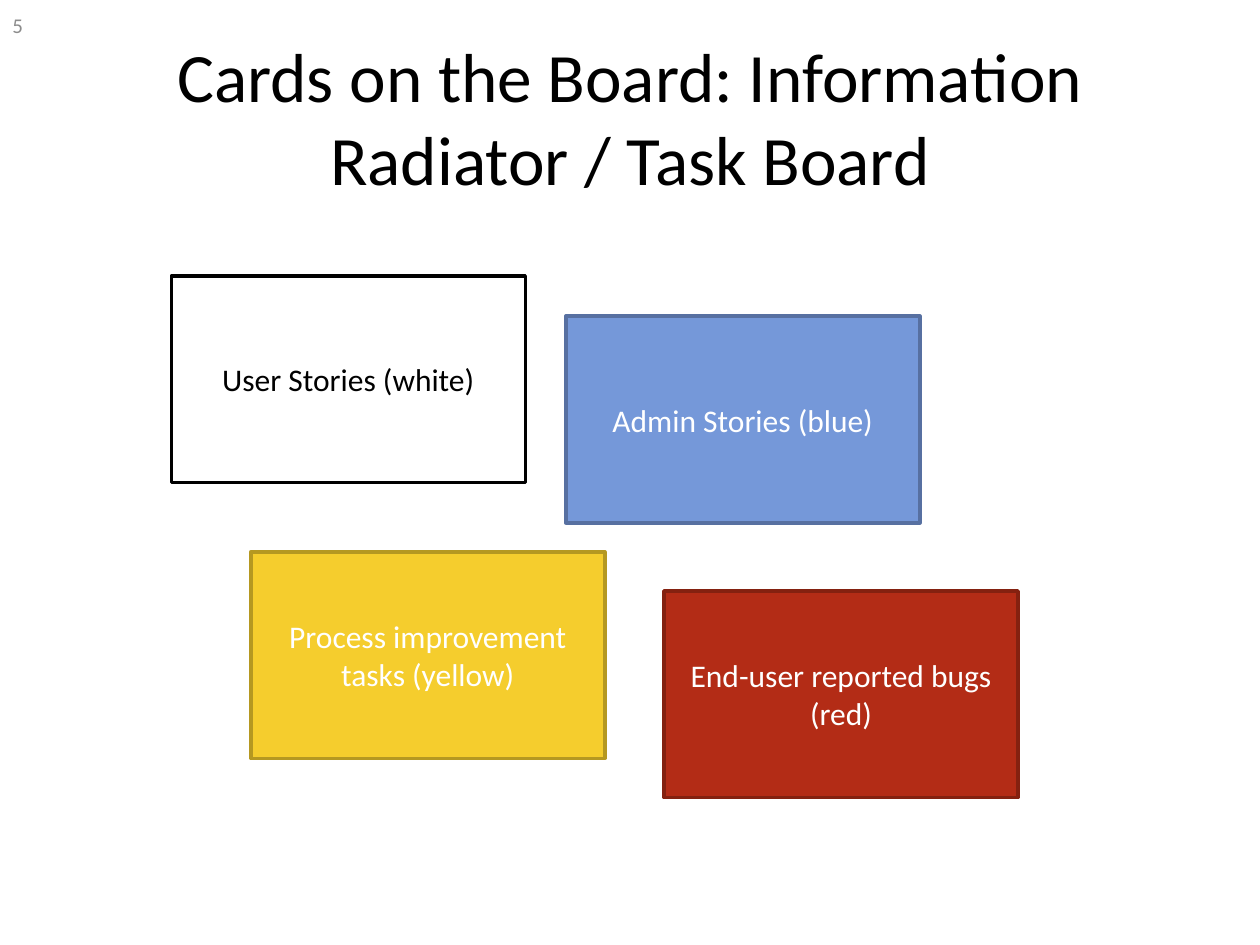
from dataclasses import dataclass

from pptx import Presentation
from pptx.dml.color import RGBColor
from pptx.enum.shapes import MSO_SHAPE
from pptx.enum.text import MSO_ANCHOR, PP_ALIGN
from pptx.util import Inches, Pt

FONT = "Calibri"
CARD_W, CARD_H = 2.81, 1.64
COLORS = {
    "black": "000000",
    "white": "FFFFFF",
    "gray": "8C8C8C",
    "blue": "7598D9",
    "blue_edge": "5770A1",
    "red": "B32C16",
    "red_edge": "842110",
    "yellow": "F5CD2D",
    "yellow_edge": "B59821",
}


@dataclass
class Card:
    text: str
    left: float
    top: float
    fill: str
    edge: str
    font_color: str = "white"


CARDS = [
    Card("User Stories (white)", 1.36, 2.19, "white", "black", "black"),
    Card("Admin Stories (blue)", 4.49, 2.51, "blue", "blue_edge"),
    Card("End-user reported bugs (red)", 5.27, 4.69, "red", "red_edge"),
    Card("Process improvement tasks (yellow)", 1.99, 4.38, "yellow", "yellow_edge"),
]


def rgb(name: str) -> RGBColor:
    return RGBColor.from_string(COLORS[name])


def write_text(sp, text: str, size: float, color: str, align: PP_ALIGN) -> None:
    tf = sp.text_frame
    tf.word_wrap = True
    tf.vertical_anchor = MSO_ANCHOR.MIDDLE
    p = tf.paragraphs[0]
    p.alignment = align
    r = p.add_run()
    r.text = text
    r.font.name = FONT
    r.font.size = Pt(size)
    r.font.color.rgb = rgb(color)


def add_card(slide, card: Card) -> None:
    sp = slide.shapes.add_shape(
        MSO_SHAPE.RECTANGLE,
        Inches(card.left), Inches(card.top), Inches(CARD_W), Inches(CARD_H),
    )
    sp.shadow.inherit = False
    sp.fill.solid()
    sp.fill.fore_color.rgb = rgb(card.fill)
    sp.line.color.rgb = rgb(card.edge)
    sp.line.width = Pt(2)
    write_text(sp, card.text, 18, card.font_color, PP_ALIGN.CENTER)


def main() -> None:
    prs = Presentation()
    prs.slide_width, prs.slide_height = Inches(10), Inches(7.5)
    slide = prs.slides.add_slide(prs.slide_layouts[6])

    # Title
    title = slide.shapes.add_textbox(Inches(0.5), Inches(0.3), Inches(9), Inches(1.25))
    write_text(title, "Cards on the Board: Information Radiator / Task Board",
               39.6, "black", PP_ALIGN.CENTER)

    # Task board cards
    for card in CARDS:
        add_card(slide, card)

    # Slide number
    number = slide.shapes.add_textbox(Inches(0), Inches(0), Inches(2.33), Inches(0.4))
    write_text(number, "5", 12, "gray", PP_ALIGN.LEFT)

    prs.save("out.pptx")


if __name__ == "__main__":
    main()
